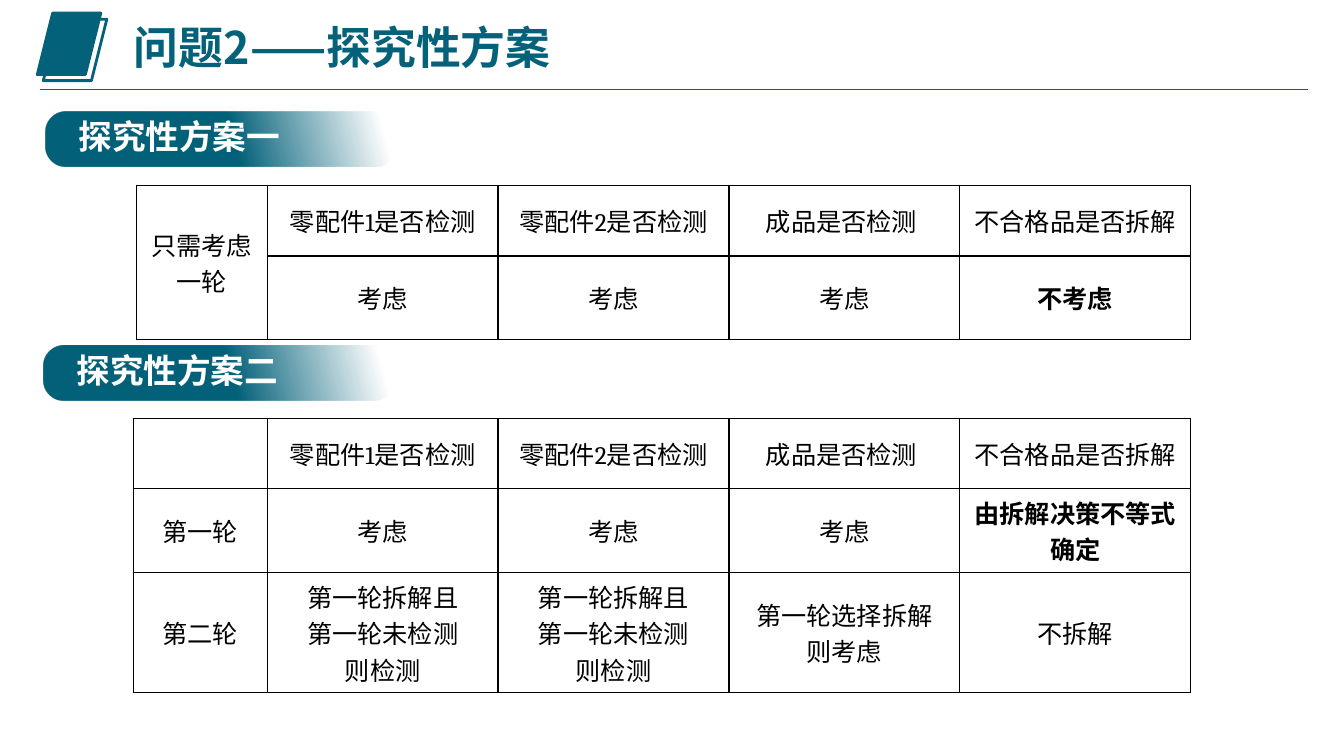
from lxml import etree
from pptx import Presentation
from pptx.dml.color import RGBColor
from pptx.enum import shapes, text
from pptx.oxml import parse_xml
from pptx.oxml.ns import nsdecls, qn
from pptx.util import Inches, Pt

TEAL, WHITE, BLACK = "03617A", "FFFFFF", "000000"
SANS, SERIF = "Noto Sans CJK SC", "Cambria"
QUESTIONS = ["零配件1是否检测", "零配件2是否检测", "成品是否检测 ", "不合格品是否拆解"]
CONSIDER = ["考虑"] * 3
RECHECK = "第一轮拆解且\n第一轮未检测\n则检测"
ROW_HEIGHTS = [0.7, 0.83, 1.19]


def color(value):
    return RGBColor.from_string(value)


class SlideBuilder:
    def __init__(self, page):
        self.page = page

    def style_span(self, span, size, font, fill, bold):
        span.font.size = Pt(size)
        span.font.name = font
        span.font.bold = bold
        span.font.color.rgb = color(fill)
        east = etree.SubElement(span.font._element, qn("a:ea"))
        east.set("typeface", SANS)

    def shape(self, kind, left, top, width, height):
        shape = self.page.shapes.add_shape(
            kind, Inches(left), Inches(top), Inches(width), Inches(height))
        shape.shadow.inherit = False
        return shape

    def sheet(self, left, top, filled):
        sheet = self.shape(shapes.MSO_SHAPE.PARALLELOGRAM, left, top, 0.63, 0.61)
        if filled:
            sheet.fill.solid()
            sheet.fill.fore_color.rgb = color(TEAL)
        else:
            sheet.fill.background()
        sheet.line.color.rgb = color(TEAL)
        sheet.line.width = Pt(2)

    def rule(self, left, right, top):
        rule = self.page.shapes.add_connector(
            shapes.MSO_CONNECTOR.STRAIGHT,
            Inches(left), Inches(top), Inches(right), Inches(top))
        rule.line.color.rgb = color(TEAL)
        rule.line.width = Pt(0.75)
        etree.SubElement(rule._element.spPr, qn("a:effectLst"))

    def label(self, words, left, top, width, height, size, fill):
        box = self.page.shapes.add_textbox(
            Inches(left), Inches(top), Inches(width), Inches(height))
        box.text_frame.word_wrap = True
        box.text_frame.text = words
        para = box.text_frame.paragraphs[0]
        para.line_spacing = 0.9
        self.style_span(para.runs[0], size, SANS, fill, True)

    def banner(self, words, left, top):
        banner = self.shape(
            shapes.MSO_SHAPE.ROUNDED_RECTANGLE, left, top, 3.48, 0.54)
        banner.adjustments[0] = 0.37
        banner.line.fill.background()
        stops = "".join(
            f'<a:gs pos="{place * 1000}"><a:srgbClr val="{TEAL}">'
            f'<a:alpha val="{alpha * 1000}"/></a:srgbClr></a:gs>'
            for place, alpha in [(0, 100), (53, 100), (95, 0)])
        gradient = parse_xml(
            f'<a:gradFill {nsdecls("a")} rotWithShape="1"><a:gsLst>{stops}</a:gsLst>'
            f'<a:lin ang="{345 * 60000}" scaled="0"/></a:gradFill>')
        banner._element.spPr.find(qn("a:prstGeom")).addnext(gradient)
        self.label(words, left + 0.23, top + 0.04, 2.29, 0.5, 24, WHITE)

    def cell(self, cell, words, bold):
        properties = cell._tc.get_or_add_tcPr()
        for side in ("lnL", "lnR", "lnT", "lnB"):
            properties.append(parse_xml(
                f'<a:{side} {nsdecls("a")} w="{Pt(1)}"><a:solidFill>'
                f'<a:srgbClr val="{BLACK}"/></a:solidFill></a:{side}>'))
        cell.fill.background()
        cell.vertical_anchor = text.MSO_ANCHOR.MIDDLE
        cell.text = words
        for para in cell.text_frame.paragraphs:
            para.alignment = text.PP_ALIGN.CENTER
            for span in para.runs:
                self.style_span(span, 18, SERIF, BLACK, bold)

    def table(self, rows, left, top, first_width, bold_words):
        widths = [first_width] + [2.29] * 4
        heights = ROW_HEIGHTS[:len(rows)]
        table = self.page.shapes.add_table(
            len(rows), len(widths), Inches(left), Inches(top),
            Inches(sum(widths)), Inches(sum(heights))).table
        table.first_row = table.horz_banding = False
        for column, width in zip(table.columns, widths):
            column.width = Inches(width)
        for index, (words, height) in enumerate(zip(rows, heights)):
            table.rows[index].height = Inches(height)
            for place, word in enumerate(words):
                self.cell(table.cell(index, place), word, word == bold_words)
        return table


def main():
    deck = Presentation()
    deck.slide_width, deck.slide_height = Inches(13.33), Inches(7.5)
    builder = SlideBuilder(deck.slides.add_slide(deck.slide_layouts[6]))

    builder.sheet(0.37, 0.13, True)
    builder.sheet(0.43, 0.19, False)
    builder.rule(0.4, 12.97, 0.89)
    builder.label("问题2——探究性方案", 1.23, 0.21, 8.66, 0.67, 32, TEAL)
    builder.banner("探究性方案一", 0.45, 1.11)
    builder.banner("探究性方案二", 0.43, 3.43)

    two_rounds = [
        ["", *QUESTIONS],
        ["第一轮", *CONSIDER, "由拆解决策不等式确定"],
        ["第二轮", RECHECK, RECHECK, "第一轮选择拆解\n则考虑", "不拆解"],
    ]
    builder.table(two_rounds, 1.32, 4.15, 1.33, "由拆解决策不等式确定")
    one_round = [["只需考虑\n一轮", *QUESTIONS], ["", *CONSIDER, "不考虑"]]
    single = builder.table(one_round, 1.35, 1.84, 1.3, "不考虑")
    single.cell(0, 0).merge(single.cell(1, 0))

    deck.save("out.pptx")


if __name__ == "__main__":
    main()
